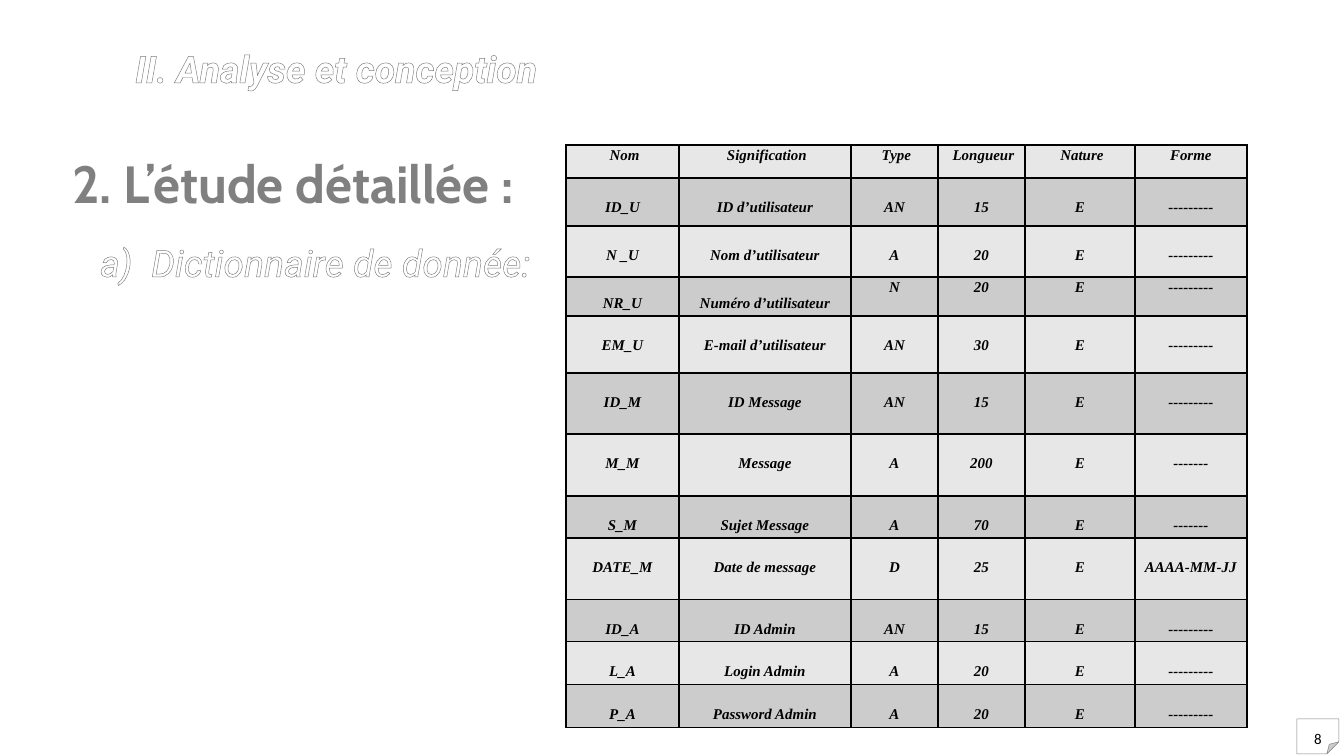
import dataclasses

import lxml.etree
import pptx
import pptx.dml.color
import pptx.enum.shapes
import pptx.enum.text
import pptx.oxml.ns
import pptx.util

EMU_PER_PX = 914400 / 134.4
LEFT = pptx.enum.text.PP_ALIGN.LEFT
CENTER = pptx.enum.text.PP_ALIGN.CENTER


@dataclasses.dataclass(frozen=True)
class Theme:
    white: str = "FFFFFF"
    black: str = "000000"
    grey: str = "808080"
    outline: str = "7D7D7D"
    glow: str = "7F7F7F"
    light_row: str = "E7E7E7"
    dark_row: str = "CCCCCC"
    heading_font: str = "Roboto"
    section_font: str = "Cabin"
    table_font: str = "Times New Roman"
    number_font: str = "Calibri"
    heading_size: int = 20
    section_size: int = 28
    small_size: int = 8


THEME = Theme()

HEADERS = ["Nom", "Signification", "Type", "Longueur", "Nature", "Forme"]
DASHES = "---------"
FIELDS = [
    ("ID_U", "ID d’utilisateur", "AN", "15", "E", DASHES),
    ("N _U", "Nom d’utilisateur", "A", "20", "E", DASHES),
    ("NR_U", "Numéro d’utilisateur", "N", "20", "E", DASHES),
    ("EM_U", "E-mail d’utilisateur", "AN", "30", "E", DASHES),
    ("ID_M", "ID Message", "AN", "15", "E", DASHES),
    ("M_M", "Message", "A", "200", "E", "-------"),
    ("S_M", "Sujet Message", "A", "70", "E", "-------"),
    ("DATE_M", "Date de message", "D", "25", "E", "AAAA-MM-JJ"),
    ("ID_A", "ID Admin", "AN", "15", "E", DASHES),
    ("L_A", "Login Admin", "A", "20", "E", DASHES),
    ("P_A", "Password Admin", "A", "20", "E", DASHES),
]
COLUMN_WIDTHS = [113, 172, 87, 87, 110, 112]
ROW_HEIGHTS = [33, 48, 51, 39, 57, 61, 62, 42, 62, 42, 43, 43]


def px(length):
    return round(length * EMU_PER_PX)


def rgb(color):
    return pptx.dml.color.RGBColor.from_string(color)


def add_xml(parent, tag, **attributes):
    return lxml.etree.SubElement(parent, pptx.oxml.ns.qn(tag), attributes)


def add_line(parent, tag, color, points):
    line = add_xml(parent, tag, w=str(round(points * 12700)))
    add_xml(add_xml(line, "a:solidFill"), "a:srgbClr", val=color)
    return line


def outline_letters(font_xml):
    line = add_line(font_xml, "a:ln", THEME.outline, 0.83)
    gradient = add_xml(font_xml, "a:gradFill")
    stops = add_xml(gradient, "a:gsLst")
    for percent in (0, 9, 50, 79, 100):
        stop = add_xml(stops, "a:gs", pos=str(percent * 1000))
        add_xml(stop, "a:srgbClr", val=THEME.glow if percent == 50 else THEME.white)
    add_xml(gradient, "a:lin", ang="5400000", scaled="0")
    font_xml.insert(0, line)
    font_xml.insert(1, gradient)


def write(frame, text, *, font, size, color=None, bold=False, italic=False,
          align=LEFT, spacing=None, tab=None):
    paragraph = frame.paragraphs[0]
    paragraph.alignment = align
    if spacing:
        paragraph.line_spacing = spacing
    if tab:
        tabs = add_xml(paragraph._p.get_or_add_pPr(), "a:tabLst")
        add_xml(tabs, "a:tab", pos=str(px(tab)), algn="l")
    run = paragraph.add_run()
    run.text = text
    run.font.name = font
    run.font.size = pptx.util.Pt(size)
    run.font.bold = bold
    run.font.italic = italic
    if color:
        run.font.color.rgb = rgb(color)
    else:
        outline_letters(run.font._element)


def add_heading(slide, box, text, **text_format):
    heading = slide.shapes.add_textbox(*map(px, box))
    heading.text_frame.word_wrap = True
    write(heading.text_frame, text, **text_format)


def add_page_number(slide, box, number):
    page = slide.shapes.add_shape(
        pptx.enum.shapes.MSO_SHAPE.FOLDED_CORNER, *map(px, box))
    for fold in page._element.iter(pptx.oxml.ns.qn("a:avLst")):
        add_xml(fold, "a:gd", name="adj", fmla="val 34600")
    page.shadow.inherit = False
    page.fill.solid()
    page.fill.fore_color.rgb = rgb(THEME.white)
    page.line.color.rgb = rgb(THEME.grey)
    page.line.width = pptx.util.Pt(0.25)
    frame = page.text_frame
    frame.vertical_anchor = pptx.enum.text.MSO_ANCHOR.TOP
    frame.margin_left = frame.margin_right = frame.margin_bottom = 0
    frame.margin_top = px(8)
    write(frame, number, font=THEME.number_font, size=THEME.small_size,
          color=THEME.black, align=CENTER, spacing=1.15)


def top_gap(row, column):
    if row == 0:
        return 0
    if FIELDS[row - 1][0] == "NR_U":
        return 16 if column < 2 else 0
    return 19


def fill_cell(cell, text, color, left, top):
    cell.fill.solid()
    cell.fill.fore_color.rgb = rgb(color)
    cell.margin_left, cell.margin_right = px(left), px(5)
    cell.margin_top, cell.margin_bottom = px(top), 0
    write(cell.text_frame, text, font=THEME.table_font, size=THEME.small_size,
          color=THEME.black, bold=True, italic=True, align=CENTER, spacing=1.15)
    cell_xml = cell._tc.get_or_add_tcPr()
    for position, side in enumerate(("a:lnL", "a:lnR", "a:lnT", "a:lnB")):
        cell_xml.insert(position, add_line(cell_xml, side, THEME.black, 1))


def add_dictionary(slide, left, top):
    rows = [HEADERS, *FIELDS]
    dictionary = slide.shapes.add_table(
        len(rows), len(HEADERS), px(left), px(top),
        px(sum(COLUMN_WIDTHS)), px(sum(ROW_HEIGHTS))).table
    dictionary.first_row = dictionary.horz_banding = False
    for column, width in zip(dictionary.columns, COLUMN_WIDTHS):
        column.width = px(width)
    for row, height in zip(dictionary.rows, ROW_HEIGHTS):
        row.height = px(height)
    for r, values in enumerate(rows):
        color = THEME.dark_row if r % 2 else THEME.light_row
        for c, value in enumerate(values):
            indent = 9 if r == 0 and value != "Forme" else 5
            fill_cell(dictionary.cell(r, c), value, color, indent, top_gap(r, c))


def main():
    deck = pptx.Presentation()
    deck.slide_width, deck.slide_height = px(1344), px(756)
    slide = deck.slides.add_slide(deck.slide_layouts[6])
    add_heading(slide, (122, 39, 444, 59), "II. Analyse et conception",
                font=THEME.heading_font, size=THEME.heading_size,
                bold=True, italic=True)
    add_heading(slide, (59, 145, 511, 140), "2. L’étude détaillée :",
                font=THEME.section_font, size=THEME.section_size,
                color=THEME.grey, bold=True)
    add_heading(slide, (87, 233, 481, 59), "a)\tDictionnaire de donnée:",
                font=THEME.heading_font, size=THEME.heading_size,
                italic=True, tab=51)
    add_page_number(slide, (1297, 719, 42, 35), "8")
    add_dictionary(slide, 566, 145)
    deck.save("out.pptx")


if __name__ == "__main__":
    main()
